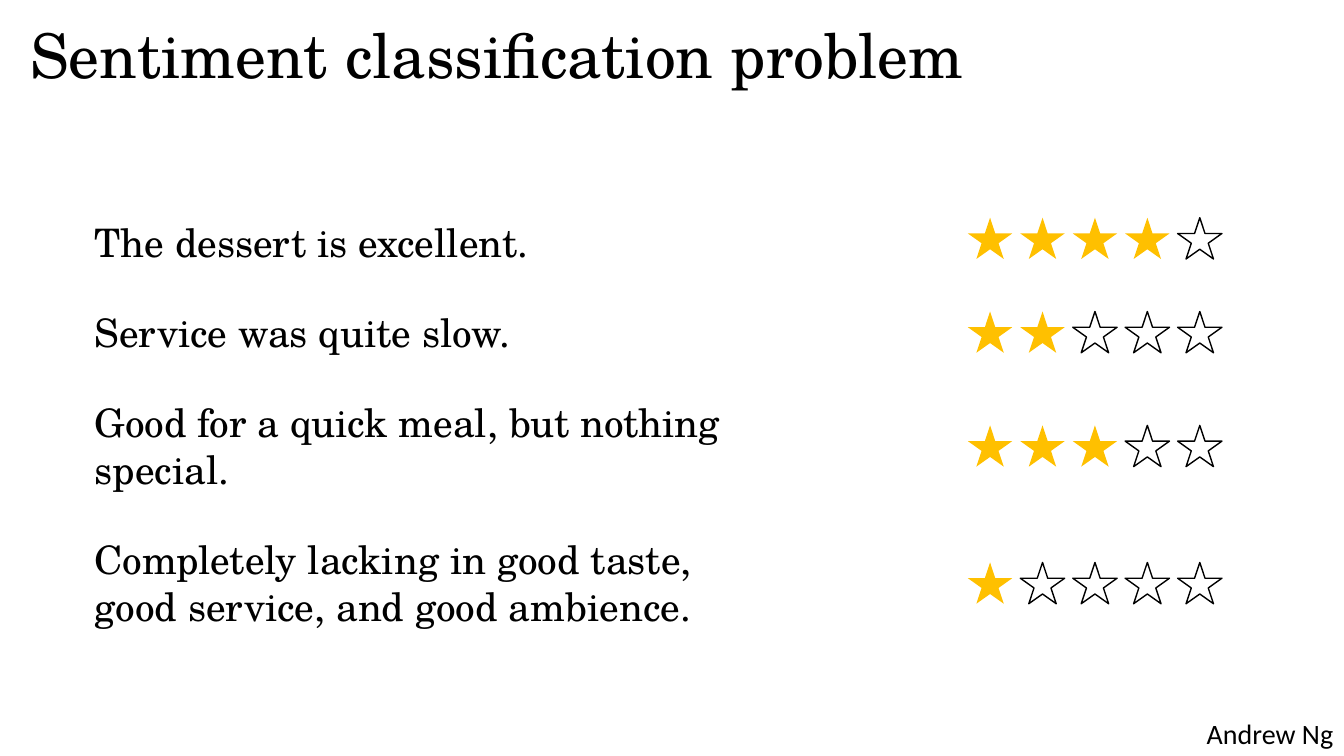
from dataclasses import dataclass

from pptx import Presentation
from pptx.dml.color import RGBColor
from pptx.enum.shapes import MSO_SHAPE as Shape
from pptx.enum.text import MSO_ANCHOR as Anchor, MSO_AUTO_SIZE as AutoSize
from pptx.util import Pt

EMU_PER_PX = 9144  # 100 px to the inch


def px(n):
    return n * EMU_PER_PX


@dataclass(frozen=True)
class Theme:
    ink: RGBColor = RGBColor(0x00, 0x00, 0x00)
    gold: RGBColor = RGBColor(0xFF, 0xC0, 0x00)
    serif: str = "TeX Gyre Schola"
    sans: str = "Calibri"
    title: int = 44
    body: int = 28
    footer: int = 20
    outline: int = 1


class RatingSlide:
    STARS = 5
    STAR_LEFT, STAR_STEP = 960, 52
    STAR_W, STAR_H = 44, 41

    def __init__(self, prs, theme):
        self.theme = theme
        self.s = prs.slides.add_slide(prs.slide_layouts[6])

    def text(self, shapes, text, box, size, font=None, wrap=True, spacing=None):
        tb = shapes.add_textbox(*map(px, box))
        tf = tb.text_frame
        tf.text = text
        tf.word_wrap = wrap
        tf.auto_size = AutoSize.NONE
        tf.vertical_anchor = Anchor.TOP
        p = tf.paragraphs[0]
        p.line_spacing = spacing
        r = p.runs[0]
        r.font.name = font or self.theme.serif
        r.font.size = Pt(size)
        r.font.color.rgb = self.theme.ink

    def star(self, shapes, left, top, filled):
        sp = shapes.add_shape(Shape.STAR_5_POINT, px(left), px(top),
                              px(self.STAR_W), px(self.STAR_H))
        sp.shadow.inherit = False
        if filled:
            sp.fill.solid()
            sp.fill.fore_color.rgb = self.theme.gold
            sp.line.fill.background()
        else:
            sp.fill.background()
            sp.line.color.rgb = self.theme.ink
            sp.line.width = Pt(self.theme.outline)

    def review(self, text, box, star_top, rating, wrap):
        """Group one review text with its row of stars."""
        shapes = self.s.shapes.add_group_shape().shapes
        self.text(shapes, text, box, self.theme.body, wrap=wrap)
        for i in range(self.STARS):
            self.star(shapes, self.STAR_LEFT + i * self.STAR_STEP, star_top, i < rating)


REVIEWS = [
    ("The dessert is excellent.", (84, 212, 467, 57), 216, 4, False),
    ("Service was quite slow.", (84, 301, 441, 57), 309, 2, False),
    ("Good for a quick meal, but nothing special.", (84, 390, 687, 104), 422, 3, True),
    ("Completely lacking in good taste, good service, and good ambience.",
     (84, 526, 663, 104), 558, 1, True),
]


def main():
    prs = Presentation()
    prs.slide_width, prs.slide_height = px(1333), px(750)
    theme = Theme()
    slide = RatingSlide(prs, theme)
    shapes = slide.s.shapes
    slide.text(shapes, "Andrew Ng", (1187, 706, 147, 44), theme.footer,
               font=theme.sans, wrap=False)
    slide.text(shapes, "Sentiment classification problem", (20, 20, 1325, 145),
               theme.title, spacing=0.9)
    for review in REVIEWS:
        slide.review(*review)
    prs.save("out.pptx")


if __name__ == "__main__":
    main()
